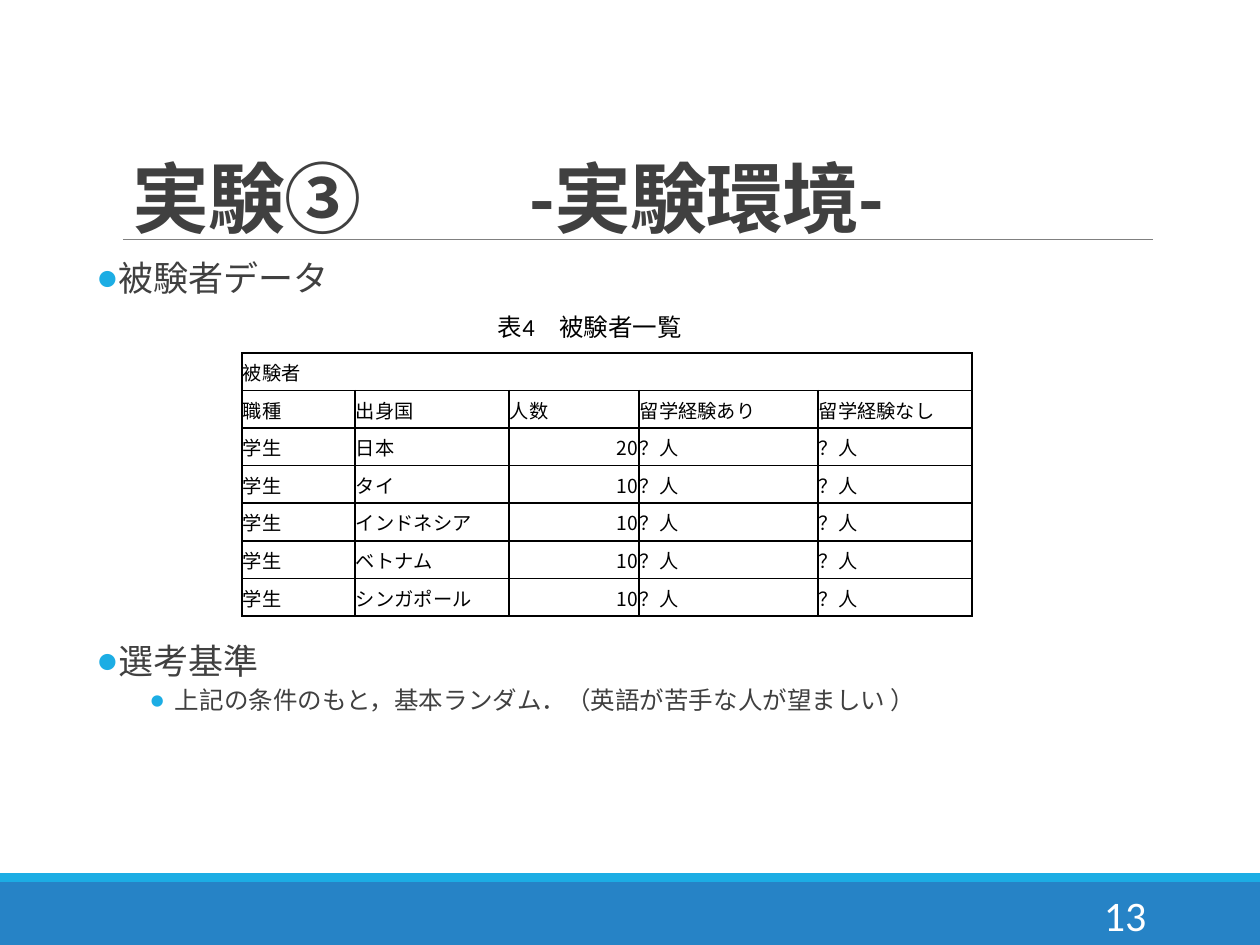
from dataclasses import dataclass

from lxml import etree
from pptx import Presentation
from pptx.dml.color import RGBColor
from pptx.enum.shapes import MSO_CONNECTOR as Connector, MSO_SHAPE as Shape
from pptx.enum.text import MSO_ANCHOR as Anchor, MSO_AUTO_SIZE as AutoSize, PP_ALIGN as Align
from pptx.oxml.ns import qn
from pptx.util import Emu, Pt

SCALE = 914400 / 126


def px(length):
    return Emu(round(length * SCALE))


@dataclass(frozen=True)
class Theme:
    font: str = "Calibri"
    japanese: str = "Noto Sans CJK JP"
    text: str = "404040"
    black: str = "000000"
    white: str = "FFFFFF"
    rule: str = "808080"
    band: str = "2683C6"
    accent: str = "1CADE4"
    title_size: int = 44
    body_size: int = 20
    note_size: int = 14
    table_size: int = 11
    number_size: int = 24


class SlideBuilder:
    def __init__(self, deck, theme):
        self.theme = theme
        self.slide = deck.slides.add_slide(deck.slide_layouts[5])
        self.shapes = self.slide.shapes

    def add_span(self, para, text, size, color, font=None, bold=False, **layout):
        for name, value in layout.items():
            setattr(para, name, value)
        span = para.add_run()
        span.text = text
        style = {"size": Pt(size), "name": font or self.theme.font, "bold": bold}
        for name, value in style.items():
            setattr(span.font, name, value)
        span.font.color.rgb = RGBColor.from_string(color)
        # East Asian glyphs
        latin = span._r.get_or_add_rPr().find(qn("a:latin"))
        latin.addnext(etree.Element(qn("a:ea"), typeface=self.theme.japanese))
        return span

    def frame(self, shape, **settings):
        base = {"word_wrap": True, "auto_size": AutoSize.NONE}
        for name, value in {**base, **settings}.items():
            setattr(shape.text_frame, name, value)
        return shape.text_frame

    def bar(self, left, top, width, height, color):
        bar = self.shapes.add_shape(Shape.RECTANGLE, *map(px, (left, top, width, height)))
        bar.shadow.inherit = False
        bar.fill.solid()
        bar.fill.fore_color.rgb = RGBColor.from_string(color)
        bar.line.fill.background()

    def rule(self, left, right, y, color):
        line = self.shapes.add_connector(Connector.STRAIGHT, px(left), px(y), px(right), px(y))
        line.line.color.rgb = RGBColor.from_string(color)
        line.line.width = Pt(0.5)
        etree.SubElement(line._element.spPr, qn("a:effectLst"))

    def title(self, left, top, width, height, text, tab):
        title = self.shapes.title
        place = {"left": left, "top": top, "width": width, "height": height}
        for name, value in place.items():
            setattr(title, name, px(value))
        para = self.frame(title, vertical_anchor=Anchor.BOTTOM).paragraphs[0]
        span = self.add_span(para, text, self.theme.title_size, self.theme.text, bold=True,
                             alignment=Align.LEFT, line_spacing=0.85)
        span._r.get_or_add_rPr().set("spc", "-50")
        stops = etree.SubElement(para._p.get_or_add_pPr(), qn("a:tabLst"))
        etree.SubElement(stops, qn("a:tab"), pos=str(px(tab)), algn="l")

    def label(self, left, top, width, height, text, size, color, align, **settings):
        box = self.shapes.add_textbox(*map(px, (left, top, width, height)))
        para = self.frame(box, **settings).paragraphs[0]
        self.add_span(para, text, size, color, alignment=align)

    def bullets(self, left, top, width, height, items):
        box = self.shapes.add_textbox(*map(px, (left, top, width, height)))
        frame = self.frame(box, margin_left=0, margin_right=0)
        for index, (text, size, margin, hang, before, after) in enumerate(items):
            para = frame.add_paragraph() if index else frame.paragraphs[0]
            self.add_span(para, text, size, self.theme.text, line_spacing=0.9,
                          space_before=Pt(before), space_after=Pt(after))
            props = para._p.get_or_add_pPr()
            props.set("marL", str(px(margin)))
            props.set("indent", str(px(-hang)))
            color = etree.SubElement(props, qn("a:buClr"))
            etree.SubElement(color, qn("a:srgbClr"), val=self.theme.accent)
            etree.SubElement(props, qn("a:buFont"), typeface=self.theme.font)
            etree.SubElement(props, qn("a:buChar"), char="●")

    def border(self, cell):
        props = cell._tc.get_or_add_tcPr()
        for index, side in enumerate(("lnL", "lnR", "lnT", "lnB")):
            line = etree.Element(qn(f"a:{side}"), w=str(Pt(1)))
            fill = etree.SubElement(line, qn("a:solidFill"))
            etree.SubElement(fill, qn("a:srgbClr"), val=self.theme.black)
            props.insert(index, line)

    def table(self, left, top, height, widths, rows):
        bounds = map(px, (left, top, sum(widths), height))
        table = self.shapes.add_table(len(rows), len(widths), *bounds).table
        table.first_row = table.horz_banding = False
        for column, width in zip(table.columns, widths):
            column.width = px(width)
        table.cell(0, 0).merge(table.cell(0, len(widths) - 1))
        margins = {"margin_left": px(1), "margin_right": px(1), "margin_top": px(1),
                   "margin_bottom": 0, "vertical_anchor": Anchor.MIDDLE}
        for r, row in enumerate(rows):
            for c in range(len(widths)):
                cell = table.cell(r, c)
                for name, value in margins.items():
                    setattr(cell, name, value)
                cell.fill.background()
                self.border(cell)
                if c < len(row):
                    align = Align.RIGHT if row[c].isdigit() else Align.LEFT
                    self.add_span(cell.text_frame.paragraphs[0], row[c], self.theme.table_size,
                                  self.theme.black, self.theme.japanese, alignment=align)


deck = Presentation()
deck.slide_width, deck.slide_height = px(1260), px(945)
theme = Theme()
page = SlideBuilder(deck, theme)

# Footer band and title rule
page.bar(0, 882, 1260, 63, theme.band)
page.bar(0, 873, 1260, 9, theme.accent)
page.rule(123, 1153, 239, theme.rule)

# Title and bullets; the space before the second heading leaves room for the table
page.title(120, 50, 1040, 200, "実験③\t-実験環境-", tab=398)
page.bullets(97, 255, 1040, 571, [
    ("被験者データ", theme.body_size, 13, 13, 12, 2),
    ("選考基準", theme.body_size, 13, 13, 195, 2),
    ("上記の条件のもと，基本ランダム．（英語が苦手な人が望ましい ）",
     theme.note_size, 78, 25, 2, 4),
])

# Slide number and table caption
page.label(1023, 890, 136, 50, "13", theme.number_size, theme.white, Align.RIGHT,
           vertical_anchor=Anchor.MIDDLE)
page.label(451, 306, 278, 43, "表4　被験者一覧", theme.note_size, theme.black, Align.CENTER,
           auto_size=AutoSize.SHAPE_TO_FIT_TEXT)

# Table of test subjects
subjects = {"日本": 20, "タイ": 10, "インドネシア": 10, "ベトナム": 10, "シンガポール": 10}
header = [["被験者"], ["職種", "出身国", "人数", "留学経験あり", "留学経験なし"]]
students = [["学生", country, str(count), "？人", "？人"] for country, count in subjects.items()]
page.table(242, 353, 263, [113, 154, 130, 179, 154], header + students)

deck.save("out.pptx")
